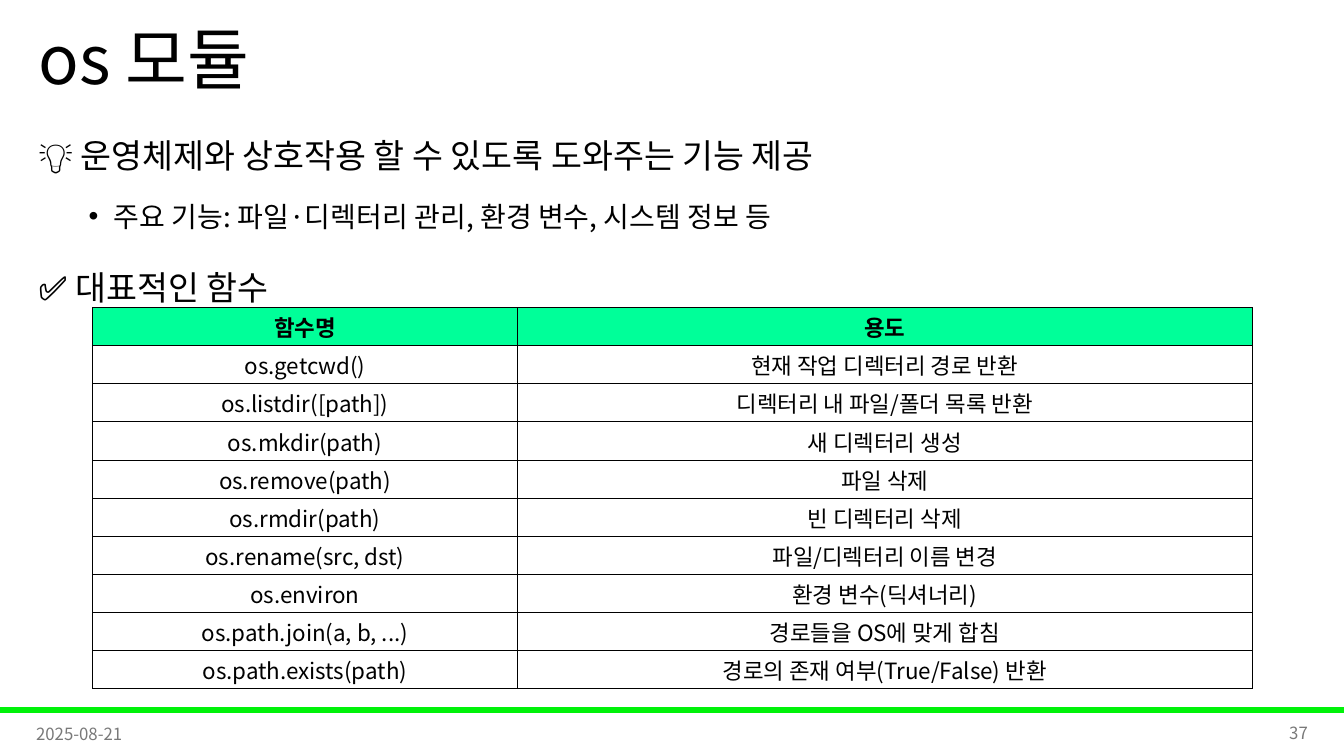
import dataclasses

import pptx
import pptx.dml.color
import pptx.enum.shapes
import pptx.enum.text
import pptx.oxml
import pptx.oxml.ns
import pptx.util

Inches = pptx.util.Inches
Pt = pptx.util.Pt
Align = pptx.enum.text.PP_ALIGN
MIDDLE = pptx.enum.text.MSO_ANCHOR.MIDDLE


@dataclasses.dataclass(frozen=True)
class Theme:
    font: str = "Noto Sans CJK KR"
    ink: str = "000000"
    muted: str = "797979"
    accent: str = "00F209"
    header: str = "00FF99"
    title_size: int = 48
    topic_size: int = 24
    detail_size: int = 20
    cell_size: int = 16
    footer_size: int = 12


THEME = Theme()

FUNCTIONS = [
    ("함수명", "용도"),
    ("os.getcwd()", "현재 작업 디렉터리 경로 반환"),
    ("os.listdir([path])", "디렉터리 내 파일/폴더 목록 반환"),
    ("os.mkdir(path)", "새 디렉터리 생성"),
    ("os.remove(path)", "파일 삭제"),
    ("os.rmdir(path)", "빈 디렉터리 삭제"),
    ("os.rename(src, dst)", "파일/디렉터리 이름 변경"),
    ("os.environ", "환경 변수(딕셔너리)"),
    ("os.path.join(a, b, ...)", "경로들을 OS에 맞게 합침"),
    ("os.path.exists(path)", "경로의 존재 여부(True/False) 반환"),
]


def rgb(value):
    return pptx.dml.color.RGBColor.from_string(value)


def add_xml(parent, tag, **attributes):
    element = pptx.oxml.parse_xml(f"<a:{tag} {pptx.oxml.ns.nsdecls('a')}/>")
    for name, value in attributes.items():
        element.set(name, str(value))
    parent.append(element)
    return element


def write(paragraph, text, size, color=THEME.ink, bold=False, align=Align.LEFT,
          line_spacing=None, space_before=0):
    paragraph.alignment = align
    paragraph.line_spacing = line_spacing
    paragraph.space_before = Pt(space_before)
    run = paragraph.add_run()
    run.text = text
    run.font.size = Pt(size)
    run.font.bold = bold
    run.font.color.rgb = rgb(color)
    run.font.name = THEME.font
    add_xml(run.font._element, "ea", typeface=THEME.font)


def place(shape, left, top, width, height):
    shape.left, shape.top = Inches(left), Inches(top)
    shape.width, shape.height = Inches(width), Inches(height)


def set_bullet(paragraph, character=None, left=0, hanging=0):
    properties = paragraph._p.get_or_add_pPr()
    properties.set("marL", str(Inches(left)))
    properties.set("indent", str(-Inches(hanging)))
    if character:
        add_xml(properties, "buFont", typeface="Arial")
        add_xml(properties, "buChar", char=character)
    else:
        add_xml(properties, "buNone")


def fill_title(title):
    place(title, 0.28, 0, 11.5, 1.25)
    title.text_frame.auto_size = pptx.enum.text.MSO_AUTO_SIZE.NONE
    title.text_frame.vertical_anchor = MIDDLE
    write(title.text_frame.paragraphs[0], "os 모듈", THEME.title_size,
          line_spacing=0.9)


def fill_body(body):
    place(body, 0.28, 1.09, 11.5, 2.05)
    frame = body.text_frame
    frame.auto_size = pptx.enum.text.MSO_AUTO_SIZE.NONE
    frame.vertical_anchor = pptx.enum.text.MSO_ANCHOR.TOP

    topic = frame.paragraphs[0]
    set_bullet(topic)
    write(topic, "💡 운영체제와 상호작용 할 수 있도록 도와주는 기능 제공",
          THEME.topic_size, line_spacing=1.5)

    features = frame.add_paragraph()
    features.level = 1
    set_bullet(features, "•", left=0.75, hanging=0.25)
    write(features, "주요 기능: 파일·디렉터리 관리, 환경 변수, 시스템 정보 등",
          THEME.detail_size, line_spacing=1.5, space_before=5)

    heading = frame.add_paragraph()
    set_bullet(heading)
    write(heading, "✅ 대표적인 함수", THEME.topic_size,
          line_spacing=1.5, space_before=10)


def add_borders(cell):
    properties = cell._tc.get_or_add_tcPr()
    for side in ("lnL", "lnR", "lnT", "lnB"):
        border = add_xml(properties, side, w=Pt(0.5))
        add_xml(add_xml(border, "solidFill"), "srgbClr", val=THEME.ink)


def add_function_table(slide):
    table = slide.shapes.add_table(
        len(FUNCTIONS), 2, Inches(0.92), Inches(3.05), Inches(11.5), Inches(3.78)
    ).table
    table.horz_banding = False
    for column, width in zip(table.columns, (4.21, 7.29)):
        column.width = Inches(width)
    for row_index, texts in enumerate(FUNCTIONS):
        is_header = row_index == 0
        for column_index, text in enumerate(texts):
            cell = table.cell(row_index, column_index)
            cell.margin_left = cell.margin_right = cell.margin_top = Inches(0.01)
            cell.margin_bottom = 0
            cell.vertical_anchor = MIDDLE
            add_borders(cell)
            if is_header:
                cell.fill.solid()
                cell.fill.fore_color.rgb = rgb(THEME.header)
            else:
                cell.fill.background()
            write(cell.text_frame.paragraphs[0], text, THEME.cell_size,
                  bold=is_header, align=Align.CENTER)


def add_footer_bar(slide):
    bar = slide.shapes.add_shape(
        pptx.enum.shapes.MSO_SHAPE.RECTANGLE,
        0, Inches(7.02), Inches(13.33), Inches(0.05))
    bar.shadow.inherit = False
    bar.fill.solid()
    bar.fill.fore_color.rgb = rgb(THEME.accent)
    bar.line.color.rgb = rgb(THEME.accent)
    bar.line.width = Pt(1)


def add_footer_text(slide, text, left, top, align):
    frame = slide.shapes.add_textbox(
        Inches(left), Inches(top), Inches(3), Inches(0.4)).text_frame
    frame.word_wrap = True
    frame.vertical_anchor = MIDDLE
    write(frame.paragraphs[0], text, THEME.footer_size, THEME.muted, align=align)


def main():
    deck = pptx.Presentation()
    deck.slide_width, deck.slide_height = Inches(13.33), Inches(7.5)
    slide = deck.slides.add_slide(deck.slide_layouts[1])
    add_footer_bar(slide)
    fill_title(slide.shapes.title)
    add_footer_text(slide, "2025-08-21", 0.26, 7.08, Align.LEFT)
    add_footer_text(slide, "37", 10.07, 7.07, Align.RIGHT)
    fill_body(slide.placeholders[1])
    add_function_table(slide)
    deck.save("out.pptx")


if __name__ == "__main__":
    main()
